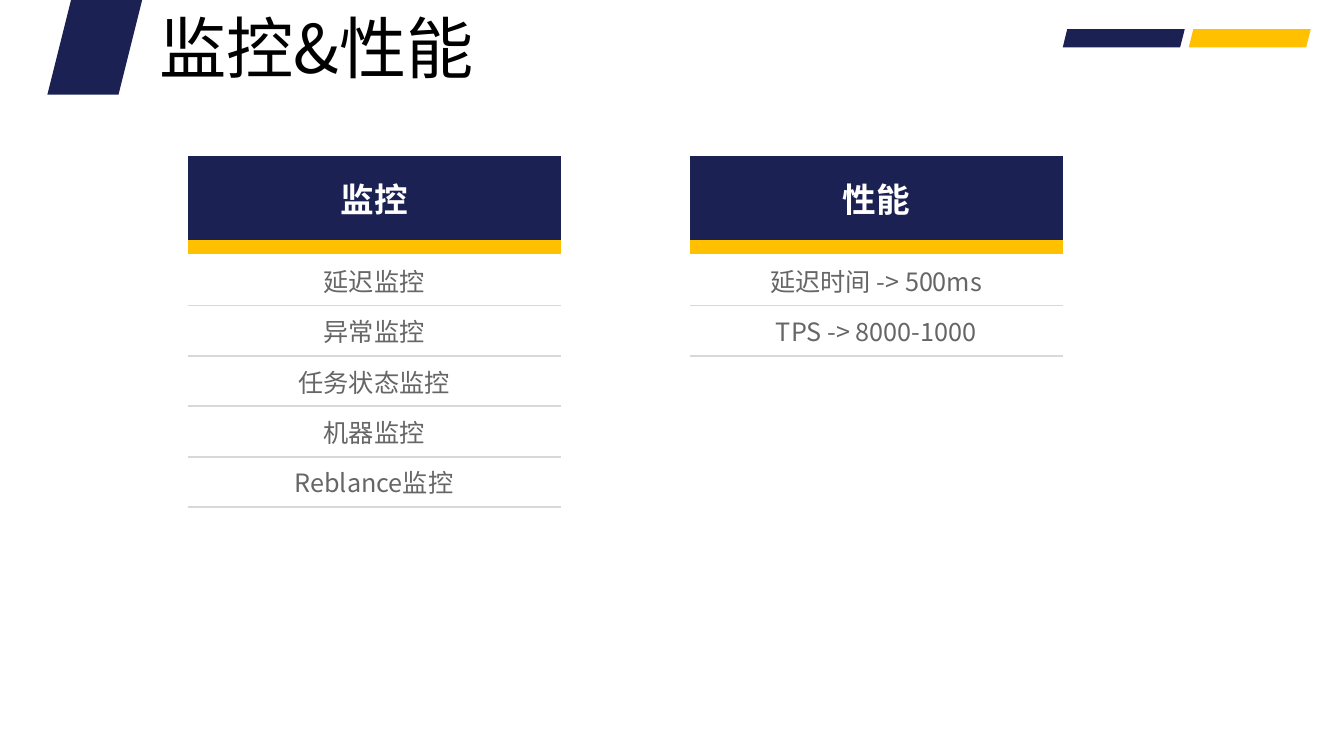
from dataclasses import dataclass

from lxml import etree
from pptx import Presentation
from pptx.dml.color import RGBColor
from pptx.enum.shapes import MSO_SHAPE
from pptx.enum.text import MSO_ANCHOR, PP_ALIGN
from pptx.oxml.ns import qn
from pptx.util import Inches, Pt

PARALLELOGRAM = MSO_SHAPE.PARALLELOGRAM
MIDDLE = MSO_ANCHOR.MIDDLE
CENTER = PP_ALIGN.CENTER
NO_STYLE = "{2D5ABB26-0587-4C30-8999-92F81FD0307C}"


@dataclass(frozen=True)
class Theme:
    font: str = "Noto Sans CJK SC"
    navy: str = "1B2153"
    gold: str = "FFC000"
    white: str = "FFFFFF"
    black: str = "000000"
    gray: str = "666666"
    rule: str = "D8D8D8"
    title_size: int = 48
    header_size: int = 24
    body_size: int = 18
    rule_width: float = 1.5


@dataclass(frozen=True)
class Slant:
    left: float
    top: float
    width: float
    height: float
    color: str


@dataclass(frozen=True)
class Panel:
    left: float
    header: str
    items: tuple[str, ...]


THEME = Theme()
PANEL_TOP, PANEL_WIDTH = 1.55, 3.7
HEADER_HEIGHT, BAND_HEIGHT, ITEM_HEIGHT = 0.83, 0.15, 0.5

SLANTS = (
    Slant(11.79, 0.29, 1.21, 0.18, THEME.gold),
    Slant(10.54, 0.29, 1.21, 0.18, THEME.navy),
    Slant(0.47, 0, 0.94, 0.94, THEME.navy),
)
PANELS = (
    Panel(1.86, "监控", ("延迟监控", "异常监控", "任务状态监控", "机器监控", "Reblance监控")),
    Panel(6.84, "性能", ("延迟时间 -> 500ms", "TPS -> 8000-1000")),
)


def set_attrs(target, values: dict) -> None:
    for name, value in values.items():
        setattr(target, name, value)


def add_text(p, text: str, size: int, color: str, bold: bool = False) -> None:
    r = p.add_run()
    r.text = text
    set_attrs(r.font, {"name": THEME.font, "size": Pt(size), "bold": bold})
    r.font.color.rgb = RGBColor.from_string(color)
    etree.SubElement(r.font._element, qn("a:ea"), typeface=THEME.font)


def fill_solid(target, color: str) -> None:
    target.fill.solid()
    target.fill.fore_color.rgb = RGBColor.from_string(color)


def add_slant(s, slant: Slant) -> None:
    box = (slant.left, slant.top, slant.width, slant.height)
    sp = s.shapes.add_shape(PARALLELOGRAM, *map(Inches, box))
    sp.shadow.inherit = False
    fill_solid(sp, slant.color)
    sp.line.fill.background()


def add_title(s, text: str) -> None:
    sp = s.shapes.add_textbox(*map(Inches, (1.45, 0.04, 5.23, 0.94)))
    tf = sp.text_frame
    set_attrs(tf, {
        "word_wrap": True,
        "vertical_anchor": MIDDLE,
        "margin_left": Inches(0.13),
        "margin_right": Inches(0.13),
        "margin_top": Inches(0.07),
        "margin_bottom": Inches(0.07),
    })
    p = tf.paragraphs[0]
    p.line_spacing = 0.9
    add_text(p, text, THEME.title_size, THEME.black)


def add_border(cell, side: str, color: str, width: float, index: int) -> None:
    tc_pr = cell._tc.get_or_add_tcPr()
    ln = etree.Element(qn(f"a:{side}"), w=str(Pt(width)))
    fill = etree.SubElement(ln, qn("a:solidFill"))
    etree.SubElement(fill, qn("a:srgbClr"), val=color)
    tc_pr.insert(index, ln)


def write_cell(cell, text: str, size: int, color: str, bold: bool = False) -> None:
    cell.vertical_anchor = MIDDLE
    p = cell.text_frame.paragraphs[0]
    p.alignment = CENTER
    add_text(p, text, size, color, bold)


def add_panel(s, panel: Panel) -> None:
    heights = [HEADER_HEIGHT, BAND_HEIGHT] + [ITEM_HEIGHT] * len(panel.items)
    box = (panel.left, PANEL_TOP, PANEL_WIDTH, sum(heights))
    frame = s.shapes.add_table(len(heights), 1, *map(Inches, box))
    table = frame.table
    set_attrs(table, {"first_row": False, "horz_banding": False})
    table._tbl.tblPr.find(qn("a:tableStyleId")).text = NO_STYLE
    for row, height in zip(table.rows, heights):
        row.height = Inches(height)

    header, band, *cells = [row.cells[0] for row in table.rows]
    fill_solid(header, THEME.navy)
    write_cell(header, panel.header, THEME.header_size, THEME.white, True)

    fill_solid(band, THEME.gold)
    set_attrs(band, {"margin_top": 0, "margin_bottom": 0})
    etree.SubElement(band.text_frame.paragraphs[0]._p, qn("a:endParaRPr"), sz="100")

    for i, (cell, item) in enumerate(zip(cells, panel.items)):
        fill_solid(cell, THEME.white)
        write_cell(cell, item, THEME.body_size, THEME.gray)
        if i:
            add_border(cell, "lnT", THEME.rule, THEME.rule_width, 0)
        else:
            add_border(cell, "lnT", THEME.white, 1, 0)
        add_border(cell, "lnB", THEME.rule, THEME.rule_width, 1)


def main() -> None:
    prs = Presentation()
    set_attrs(prs, {"slide_width": Inches(13.33), "slide_height": Inches(7.5)})
    s = prs.slides.add_slide(prs.slide_layouts[6])
    for slant in SLANTS:
        add_slant(s, slant)
    add_title(s, "监控&性能")
    for panel in PANELS:
        add_panel(s, panel)
    prs.save("out.pptx")


if __name__ == "__main__":
    main()
